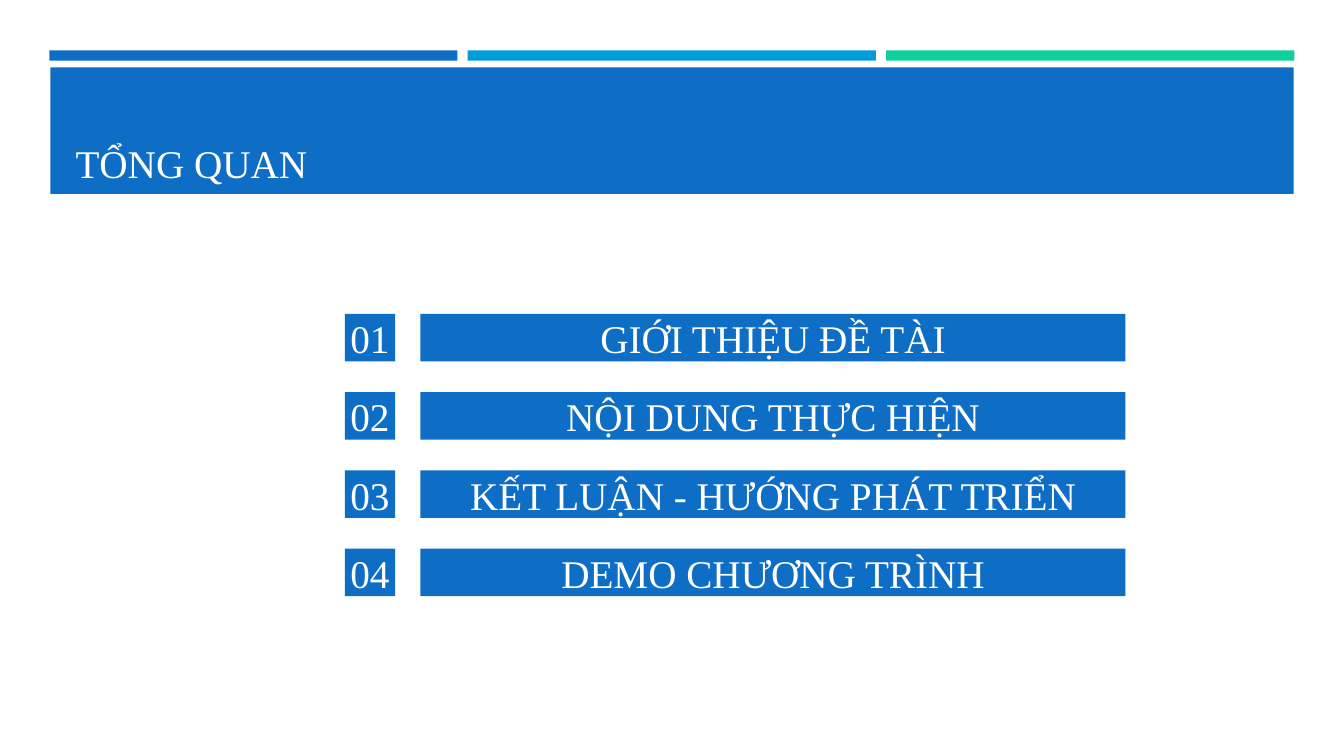
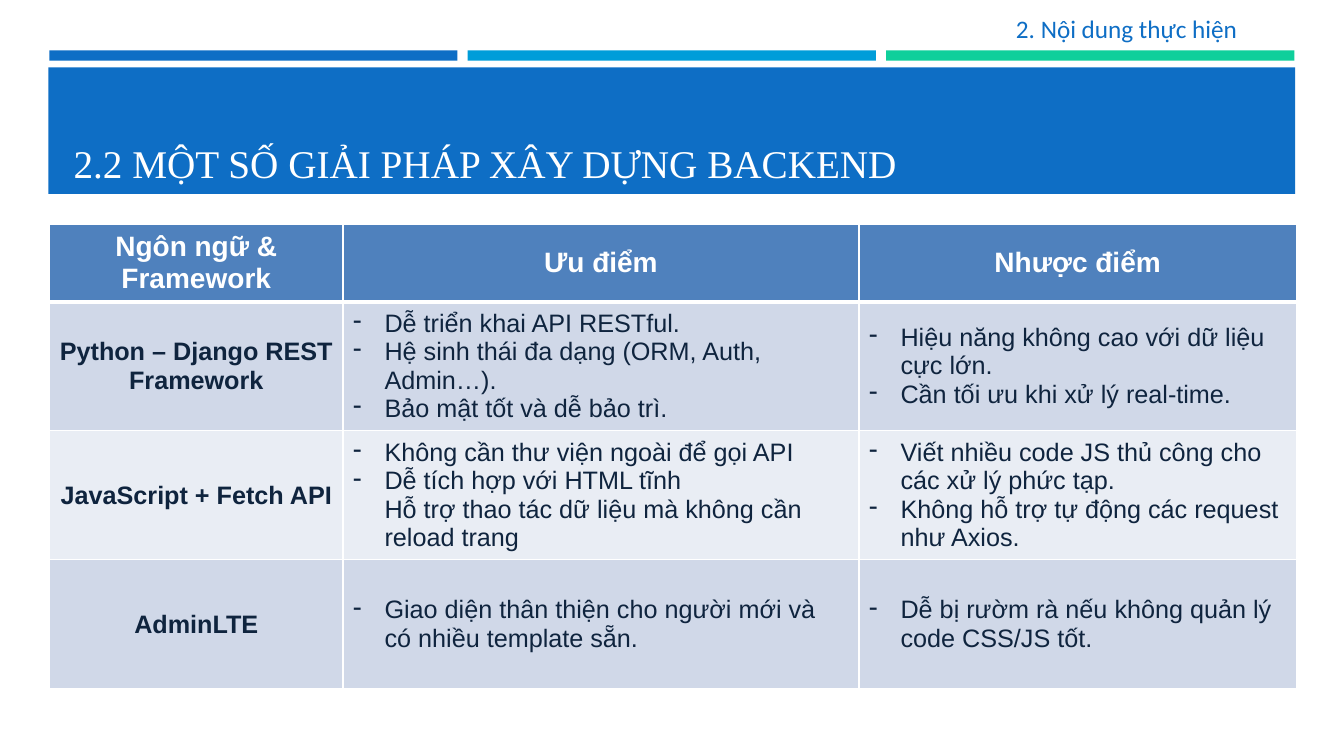
from lxml.etree import SubElement
from pptx import Presentation
from pptx.dml.color import RGBColor
from pptx.enum.shapes import MSO_SHAPE as Preset
from pptx.enum.text import MSO_ANCHOR as Anchor, MSO_AUTO_SIZE as AutoSize, PP_ALIGN as Align
from pptx.oxml.ns import qn
from pptx.util import Pt

# Shared style
BLUE, CYAN, GREEN, WHITE, NAVY = "0E6EC5", "009DD9", "0FCF9B", "FFFFFF", "0F243E"
HEADER_FILL, BAND_FILLS = "4F81BD", ("D0D8E8", "E9EDF4")
SERIF, SANS, LABEL_FONT = "Times New Roman", "Arial", "Calibri"
BULLET_INDENT = 22.5

# Contents
AGENDA = ["GIỚI THIỆU ĐỀ TÀI", "NỘI DUNG THỰC HIỆN",
          "KẾT LUẬN - HƯỚNG PHÁT TRIỂN", "DEMO CHƯƠNG TRÌNH"]
COLUMN_WIDTHS = [209.5, 368.6, 312.5]
ROW_HEIGHTS = [55.5, 92.2, 92.2, 92.2]
HEADERS = ["Ngôn ngữ & Framework", "Ưu điểm", "Nhược điểm"]
SOLUTIONS = [
    ("Python – Django REST Framework",
     ["Dễ triển khai API RESTful.",
      "Hệ sinh thái đa dạng (ORM, Auth, Admin…).",
      "Bảo mật tốt và dễ bảo trì."],
     ["Hiệu năng không cao với dữ liệu cực lớn.",
      "Cần tối ưu khi xử lý real-time."]),
    ("JavaScript + Fetch API",
     ["Không cần thư viện ngoài để gọi API",
      "Dễ tích hợp với HTML tĩnh\vHỗ trợ thao tác dữ liệu mà không cần reload trang"],
     ["Viết nhiều code JS thủ công cho các xử lý phức tạp.",
      "Không hỗ trợ tự động các request như Axios."]),
    ("AdminLTE",
     ["Giao diện thân thiện cho người mới và có nhiều template sẵn."],
     ["Dễ bị rườm rà nếu không quản lý code CSS/JS tốt."]),
]


def set_fill(target, color):
    target.fill.solid()
    target.fill.fore_color.rgb = RGBColor.from_string(color)


def add_bullet(paragraph):
    properties = paragraph._p.get_or_add_pPr()
    properties.set("marL", str(Pt(BULLET_INDENT)))
    properties.set("indent", str(-Pt(BULLET_INDENT)))
    SubElement(properties, qn("a:buChar"), char="-")


def write_text(frame, text, *, size=28, font=SERIF, color=WHITE, bold=False,
               align=Align.LEFT, bullet=False):
    """Write one paragraph, or one for each item of a list."""
    lines = [text] if isinstance(text, str) else text
    for index, line in enumerate(lines):
        paragraph = frame.add_paragraph() if index else frame.paragraphs[0]
        paragraph.text = line
        paragraph.alignment = align
        if bullet:
            add_bullet(paragraph)
        for run in paragraph.runs:
            run.font.name = font
            run.font.size = Pt(size)
            run.font.bold = bold
            run.font.color.rgb = RGBColor.from_string(color)


def set_frame(frame, left=0, bottom=0):
    frame.margin_left, frame.margin_bottom = Pt(left), Pt(bottom)
    frame.margin_top = frame.margin_right = 0
    frame.vertical_anchor = Anchor.BOTTOM
    frame.word_wrap = True
    frame.auto_size = AutoSize.NONE


def add_bar(slide, left, top, width, height, color=BLUE, text=None):
    bar = slide.shapes.add_shape(Preset.RECTANGLE, Pt(left), Pt(top), Pt(width), Pt(height))
    bar.shadow.inherit = False
    bar.line.fill.background()
    set_fill(bar, color)
    if text:
        set_frame(bar.text_frame)
        write_text(bar.text_frame, text, align=Align.CENTER)
    return bar


def add_stripes(slide):
    for index, color in enumerate((BLUE, CYAN, GREEN)):
        add_bar(slide, 35.2 + index * 298.9, 36, 291.6, 7.3, color)


def add_slide(presentation, title, left, width):
    slide = presentation.slides.add_slide(presentation.slide_layouts[5])
    add_stripes(slide)
    band = slide.shapes.title
    band.left, band.top, band.width, band.height = Pt(left), Pt(48.1), Pt(width), Pt(90.4)
    set_fill(band, BLUE)
    set_frame(band.text_frame, left=18, bottom=5.5)
    write_text(band.text_frame, title)
    return slide


def add_agenda(slide):
    for index, text in enumerate(AGENDA):
        top = 224.2 + index * 55.9
        add_bar(slide, 246.3, top, 36, 34, text=f"{index + 1:02}")
        add_bar(slide, 300.4, top, 503.5, 34, text=text)


def set_borders(cell, bottom):
    properties = cell._tc.get_or_add_tcPr()
    for side, width in (("L", 1), ("R", 1), ("T", 1), ("B", bottom)):
        line = SubElement(properties, qn(f"a:ln{side}"), w=str(Pt(width)))
        fill = SubElement(line, qn("a:solidFill"))
        SubElement(fill, qn("a:srgbClr"), val=WHITE)


def fill_cell(cell, text, fill, bottom=1, **text_format):
    set_borders(cell, bottom)
    set_fill(cell, fill)
    cell.vertical_anchor = Anchor.MIDDLE
    write_text(cell.text_frame, text, font=SANS, **text_format)


def add_solution_table(slide):
    table = slide.shapes.add_table(
        len(ROW_HEIGHTS), len(COLUMN_WIDTHS), Pt(35.5), Pt(160),
        Pt(sum(COLUMN_WIDTHS)), Pt(sum(ROW_HEIGHTS))).table
    for column, width in zip(table.columns, COLUMN_WIDTHS):
        column.width = Pt(width)
    for row, height in zip(table.rows, ROW_HEIGHTS):
        row.height = Pt(height)

    for column, text in enumerate(HEADERS):
        fill_cell(table.cell(0, column), text, HEADER_FILL, bottom=3,
                  size=20, bold=True, align=Align.CENTER)
    for row, (name, *lists) in enumerate(SOLUTIONS, 1):
        fill = BAND_FILLS[(row - 1) % 2]
        fill_cell(table.cell(row, 0), name, fill, size=18, color=NAVY,
                  bold=True, align=Align.CENTER)
        for column, items in enumerate(lists, 1):
            fill_cell(table.cell(row, column), items, fill, size=18, color=NAVY, bullet=True)


def add_section_label(slide, text):
    box = slide.shapes.add_textbox(Pt(718.6), Pt(6), Pt(173), Pt(29))
    box.text_frame.word_wrap = False
    write_text(box.text_frame, text, size=18, font=LABEL_FONT, color=BLUE)


def main():
    presentation = Presentation()
    presentation.slide_width, presentation.slide_height = Pt(960), Pt(540)

    # Overview
    overview = add_slide(presentation, "TỔNG QUAN", 36, 888)
    add_agenda(overview)

    # Backend solutions
    backend = add_slide(presentation, "2.2 MỘT SỐ GIẢI PHÁP XÂY DỰNG BACKEND", 34.6, 890.6)
    add_solution_table(backend)
    add_section_label(backend, "2. Nội dung thực hiện")

    presentation.save("out.pptx")


if __name__ == "__main__":
    main()
